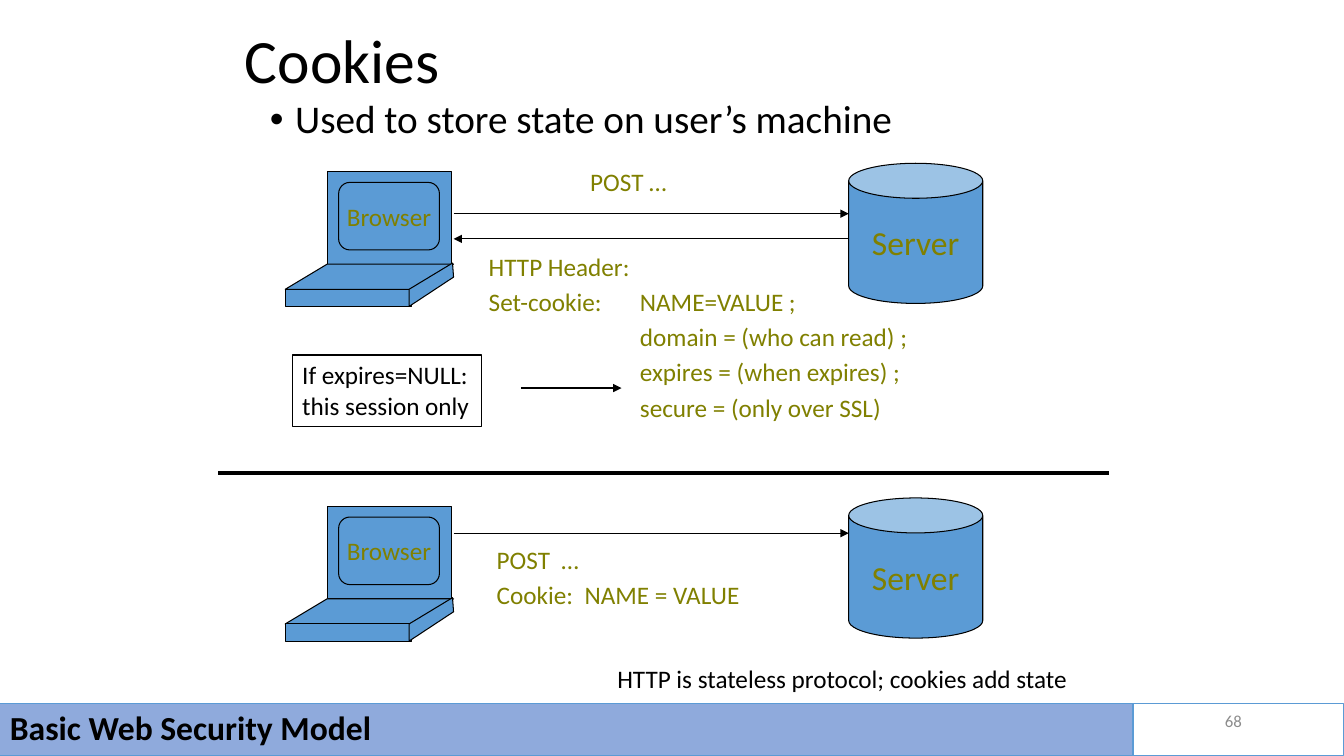
from lxml.etree import SubElement
from pptx import Presentation
from pptx.dml.color import RGBColor
from pptx.enum.shapes import MSO_CONNECTOR, MSO_SHAPE
from pptx.enum.text import MSO_ANCHOR, PP_ALIGN
from pptx.oxml.ns import qn
from pptx.util import Pt

BLACK = RGBColor(0x00, 0x00, 0x00)
BLUE = RGBColor(0x5B, 0x9B, 0xD5)
PALE = RGBColor(0x8F, 0xAA, 0xDC)
OLIVE = RGBColor(0x80, 0x80, 0x00)
GREY = RGBColor(0x8C, 0x8C, 0x8C)
LEFT, MID, RIGHT = PP_ALIGN.LEFT, PP_ALIGN.CENTER, PP_ALIGN.RIGHT

BAR_TOP = 502.56
BAR_HIGH = 37.44
SPLIT = 809.28
LINK_LEFT, LINK_RIGHT = 324, 606.24


def place(shape, x, y, w, h):
    shape.left, shape.top, shape.width, shape.height = map(Pt, (x, y, w, h))


def write(shape, lines, size, color=BLACK, align=LEFT, anchor=MSO_ANCHOR.TOP,
          wrap=False, gap=0, tab=None, bullet=False, bold=False, lead=None):
    """Fill a shape with paragraphs of one style."""
    frame = shape.text_frame
    frame.word_wrap = wrap
    frame.vertical_anchor = anchor
    for i, line in enumerate(lines):
        para = frame.paragraphs[0] if i == 0 else frame.add_paragraph()
        para.text = line
        para.alignment = align
        if lead:
            para.line_spacing = lead
        if i and gap:
            para.space_before = Pt(gap)
        props = para._p.get_or_add_pPr()
        if bullet:
            props.set("marL", str(Pt(18)))
            props.set("indent", str(Pt(-18)))
            SubElement(props, qn("a:buFont"), typeface="Arial")
            SubElement(props, qn("a:buChar"), char="•")
        if tab:
            tabs = SubElement(props, qn("a:tabLst"))
            SubElement(tabs, qn("a:tab"), pos=str(Pt(tab)), algn="l")
        font = para.font
        font.name, font.size, font.bold = "Calibri", Pt(size), bold
        font.color.rgb = color


def label(slide, box, lines, size, **style):
    text = slide.shapes.add_textbox(*map(Pt, box))
    write(text, lines, size, **style)


def paint(shape, fill, line, width):
    shape.shadow.inherit = False
    if fill is None:
        shape.fill.background()
    else:
        shape.fill.solid()
        shape.fill.fore_color.rgb = fill
    shape.line.color.rgb = line
    shape.line.width = Pt(width)


def block(slide, kind, box, fill=BLUE, line=BLACK, width=0.75, adjust=None):
    shape = slide.shapes.add_shape(kind, *map(Pt, box))
    paint(shape, fill, line, width)
    if adjust:
        shape.adjustments[0] = adjust
    return shape


def rule(slide, x1, x2, y, width=0.75, arrow=True):
    """Draw a level line, with an arrowhead at x2 if wanted."""
    line = slide.shapes.add_connector(
        MSO_CONNECTOR.STRAIGHT, Pt(x1), Pt(y), Pt(x2), Pt(y))
    line.line.color.rgb = BLACK
    line.line.width = Pt(width)
    if arrow:
        SubElement(line.line._get_or_add_ln(), qn("a:tailEnd"), type="triangle")
    SubElement(line._element.spPr, qn("a:effectLst"))


def laptop(slide, top):
    block(slide, MSO_SHAPE.RECTANGLE, (234, top, 88.56, 66.24))
    face = block(slide, MSO_SHAPE.ROUNDED_RECTANGLE,
                 (241.92, top + 7.92, 72, 48.24))
    write(face, ["Browser"], 18, OLIVE, MID, MSO_ANCHOR.MIDDLE)
    block(slide, MSO_SHAPE.PARALLELOGRAM,
          (203.76, top + 66.24, 120.24, 18), adjust=1.667)
    block(slide, MSO_SHAPE.RECTANGLE, (203.76, top + 84.24, 90, 12.24))
    edge = [(292.32, 96.48), (324, 75.6), (323.28, 65.52), (292.32, 84.24)]
    first, *rest = [(Pt(x), Pt(top + y)) for x, y in edge]
    path = slide.shapes.build_freeform(*first)
    path.add_line_segments(rest, close=True)
    paint(path.convert_to_shape(), BLUE, BLACK, 0.75)


def server(slide, top):
    can = block(slide, MSO_SHAPE.CAN, (606.24, top, 95.76, 100.08), adjust=0.261)
    write(can, ["Server"], 24, OLIVE, MID, MSO_ANCHOR.MIDDLE)


def footer(slide):
    bar = block(slide, MSO_SHAPE.RECTANGLE, (0, BAR_TOP, SPLIT, BAR_HIGH), PALE, BLUE)
    write(bar, ["Basic Web Security Model"], 24, anchor=MSO_ANCHOR.MIDDLE,
          wrap=True, bold=True, lead=0.9)
    block(slide, MSO_SHAPE.RECTANGLE,
          (SPLIT, BAR_TOP, 960 - SPLIT, BAR_HIGH), None, BLUE)
    label(slide, (678.24, 500.4, 216, 28.8), ["68"], 12, color=GREY,
          align=RIGHT, anchor=MSO_ANCHOR.MIDDLE, wrap=True)


def main():
    deck = Presentation()
    deck.slide_width, deck.slide_height = Pt(960), Pt(540)
    slide = deck.slides.add_slide(deck.slide_layouts[5])

    title = slide.shapes.title
    place(title, 167.76, 12.24, 612, 66.24)
    write(title, ["Cookies"], 44, anchor=MSO_ANCHOR.MIDDLE, wrap=True, lead=0.9)
    label(slide, (185.76, 67.68, 630, 414), ["Used to store state on user’s machine"],
          28, wrap=True, bullet=True, lead=0.9)

    for top in (122.4, 361.44):
        laptop(slide, top)
        server(slide, top - 5.76)

    rule(slide, LINK_LEFT, LINK_RIGHT, 152.64)
    rule(slide, LINK_RIGHT, LINK_LEFT, 170.64)
    rule(slide, LINK_LEFT, LINK_RIGHT, 380.88)

    label(slide, (414, 115.2, 69.84, 28.8), ["POST …"], 18, color=OLIVE, align=MID)
    header = ["HTTP Header:", "Set-cookie:\tNAME=VALUE ;",
              "\tdomain = (who can read) ;", "\texpires = (when expires) ;",
              "\tsecure = (only over SSL)"]
    label(slide, (342, 175.68, 378, 133.92), header, 18, color=OLIVE,
          wrap=True, gap=3.6, tab=108)
    label(slide, (347.76, 385.2, 190.08, 55.44),
          ["POST  …", "Cookie:  NAME = VALUE"], 18, color=OLIVE, gap=3.6)
    label(slide, (432, 470.16, 339.12, 28.8),
          ["HTTP is stateless protocol; cookies add state"], 18, align=MID)

    rule(slide, 156, 792, 337.68, 3, arrow=False)
    note = block(slide, MSO_SHAPE.RECTANGLE, (208.8, 253.44, 135.36, 51.12),
                 None, width=1)
    write(note, ["If expires=NULL:", "this session only"], 18)
    rule(slide, 372, 444, 277.2, 1)

    footer(slide)
    deck.save("out.pptx")


if __name__ == "__main__":
    main()
